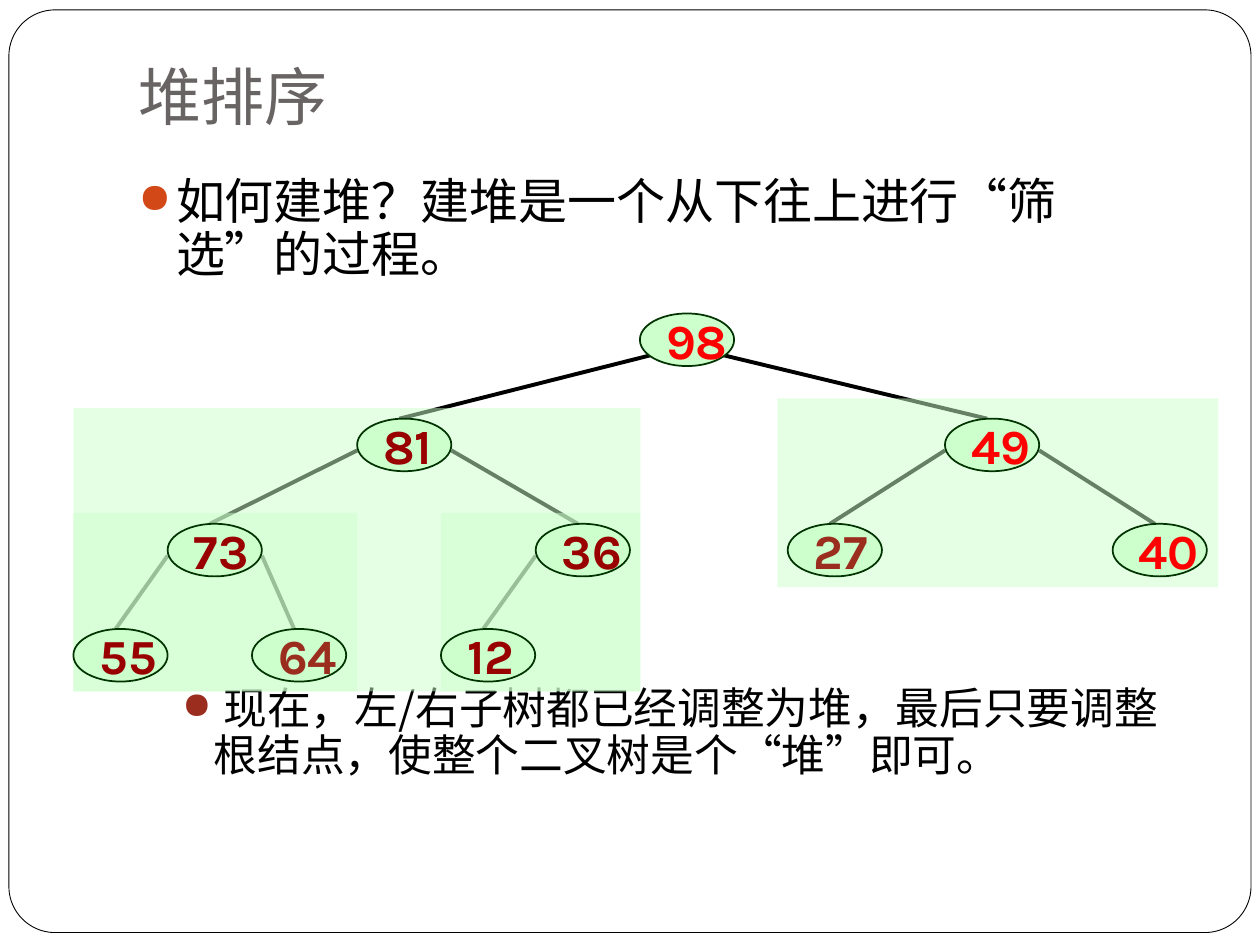
from lxml import etree
from pptx import Presentation
from pptx.dml.color import RGBColor
from pptx.enum.shapes import MSO_CONNECTOR, MSO_SHAPE
from pptx.enum.text import MSO_ANCHOR, PP_ALIGN
from pptx.oxml.ns import qn
from pptx.util import Cm, Pt


def color(hex_value):
    return RGBColor.from_string(hex_value)


def format_text(paragraph, size, font, hex_value):
    """Format the runs, with the same East Asian font throughout."""
    for run in paragraph.runs:
        run.font.size = Pt(size)
        run.font.name = font
        run.font.color.rgb = color(hex_value)
        properties = run.font._element
        properties.set("lang", "zh-CN")
        etree.SubElement(properties, qn("a:ea")).set("typeface", "Noto Sans CJK SC")


prs = Presentation()
prs.slide_width, prs.slide_height = Cm(25.4), Cm(19.05)
slide = prs.slides.add_slide(prs.slide_layouts[6])
shapes = slide.shapes

# Rounded frame
frame = shapes.add_shape(MSO_SHAPE.ROUNDED_RECTANGLE, Cm(0.18), Cm(0.2), Cm(25.04), Cm(18.6))
frame.adjustments[0] = 0.05
frame.shadow.inherit = False
frame.fill.solid()
frame.fill.fore_color.rgb = color("FFFFFF")
frame.line.color.rgb = color("000000")
frame.line.width = Pt(0.5)

# Title
title = shapes.add_textbox(Cm(2.54), Cm(0.53), Cm(21.59), Cm(2.41)).text_frame
title.word_wrap = True
title.vertical_anchor = MSO_ANCHOR.BOTTOM
title.margin_bottom = Cm(0.25)
title.text = "堆排序"
format_text(title.paragraphs[0], 36, "Cabin", "696464")

# Bulleted statements above and below the tree:
# top, height, indent, hanging, size, font, bullet colour, wording
statements = [
    (3.45, 2.9, 0.76, 0.76, 28, "Times New Roman", "D34817",
     "如何建堆？建堆是一个从下往上进行“筛选”的过程。"),
    (13.72, 2.7, 1.52, 0.64, 25, "Noto Sans CJK SC", "9B2D1F",
     " 现在，左/右子树都已经调整为堆，最后只要调整根结点，使整个二叉树是个“堆”即可。"),
]
for top, height, indent, hanging, size, font, bullet_color, wording in statements:
    statement = shapes.add_textbox(Cm(2.54), Cm(top), Cm(21.59), Cm(height)).text_frame
    statement.word_wrap = True
    statement.text = wording
    paragraph = statement.paragraphs[0]
    paragraph.line_spacing = 0.9
    properties = paragraph._p.get_or_add_pPr()
    properties.set("marL", str(Cm(indent)))
    properties.set("indent", str(-Cm(hanging)))
    bullet = etree.SubElement(properties, qn("a:buClr"))
    etree.SubElement(bullet, qn("a:srgbClr")).set("val", bullet_color)
    etree.SubElement(properties, qn("a:buSzPct")).set("val", "85000")
    etree.SubElement(properties, qn("a:buChar")).set("char", "●")
    format_text(paragraph, size, font, "000000")

# Heap: key -> (left, level, text colour)
nodes = {
    98: (12.9, 0, "FF0000"),
    81: (7.2, 1, "990000"),
    49: (19.05, 1, "FF0000"),
    73: (3.38, 2, "990000"),
    36: (10.8, 2, "990000"),
    27: (15.88, 2, "9B2D1F"),
    40: (22.43, 2, "FF0000"),
    55: (1.48, 3, "990000"),
    64: (5.08, 3, "9B2D1F"),
    12: (8.89, 3, "990000"),
}
children = {98: (81, 49), 81: (73, 36), 49: (27, 40), 73: (55, 64), 36: (12,)}
ROOT_TOP, LEVEL_STEP = 6.32, 2.12
NODE_WIDTH, NODE_HEIGHT = 1.9, 1.06

# Branches run from the sides of a parent to the top of each child
for parent, pair in children.items():
    left, level, _ = nodes[parent]
    inset, drop = (0.22, 0.84) if level == 0 else (0, 0.64)
    starts = (left + inset, left + NODE_WIDTH - inset)
    for start, child in zip(starts, pair):
        child_left, child_level, _ = nodes[child]
        branch = shapes.add_connector(
            MSO_CONNECTOR.STRAIGHT,
            Cm(start), Cm(ROOT_TOP + level * LEVEL_STEP + drop),
            Cm(child_left + 0.85), Cm(ROOT_TOP + child_level * LEVEL_STEP))
        branch.line.color.rgb = color("000000")
        branch.line.width = Pt(2.25)
        etree.SubElement(branch._element.spPr, qn("a:effectLst"))

# Translucent areas over the subtrees already adjusted
subtrees = [
    (8.89, 10.34, 4.02, 3.6),
    (1.48, 10.34, 5.72, 3.6),
    (15.67, 8.03, 8.89, 3.81),
    (1.48, 8.23, 11.43, 5.71),
]
for area in subtrees:
    subtree = shapes.add_shape(MSO_SHAPE.RECTANGLE, *map(Cm, area))
    subtree.shadow.inherit = False
    subtree.line.fill.background()
    subtree.fill.solid()
    subtree.fill.fore_color.rgb = color("CCFFCC")
    tint = subtree._element.spPr.find(qn("a:solidFill"))[0]
    etree.SubElement(tint, qn("a:alpha")).set("val", "50000")

# Nodes
for key, (left, level, key_color) in nodes.items():
    node = shapes.add_shape(MSO_SHAPE.OVAL, Cm(left), Cm(ROOT_TOP + level * LEVEL_STEP),
                            Cm(NODE_WIDTH), Cm(NODE_HEIGHT))
    node.shadow.inherit = False
    node.fill.solid()
    node.fill.fore_color.rgb = color("CCFFCC")
    node.line.color.rgb = color("003300")
    node.line.width = Pt(1)
    label = node.text_frame
    label.word_wrap = False
    label.vertical_anchor = MSO_ANCHOR.MIDDLE
    label.text = str(key)
    paragraph = label.paragraphs[0]
    paragraph.alignment = PP_ALIGN.LEFT
    format_text(paragraph, 28, "Karla", key_color)
    paragraph.runs[0].font.bold = True

prs.save("out.pptx")
